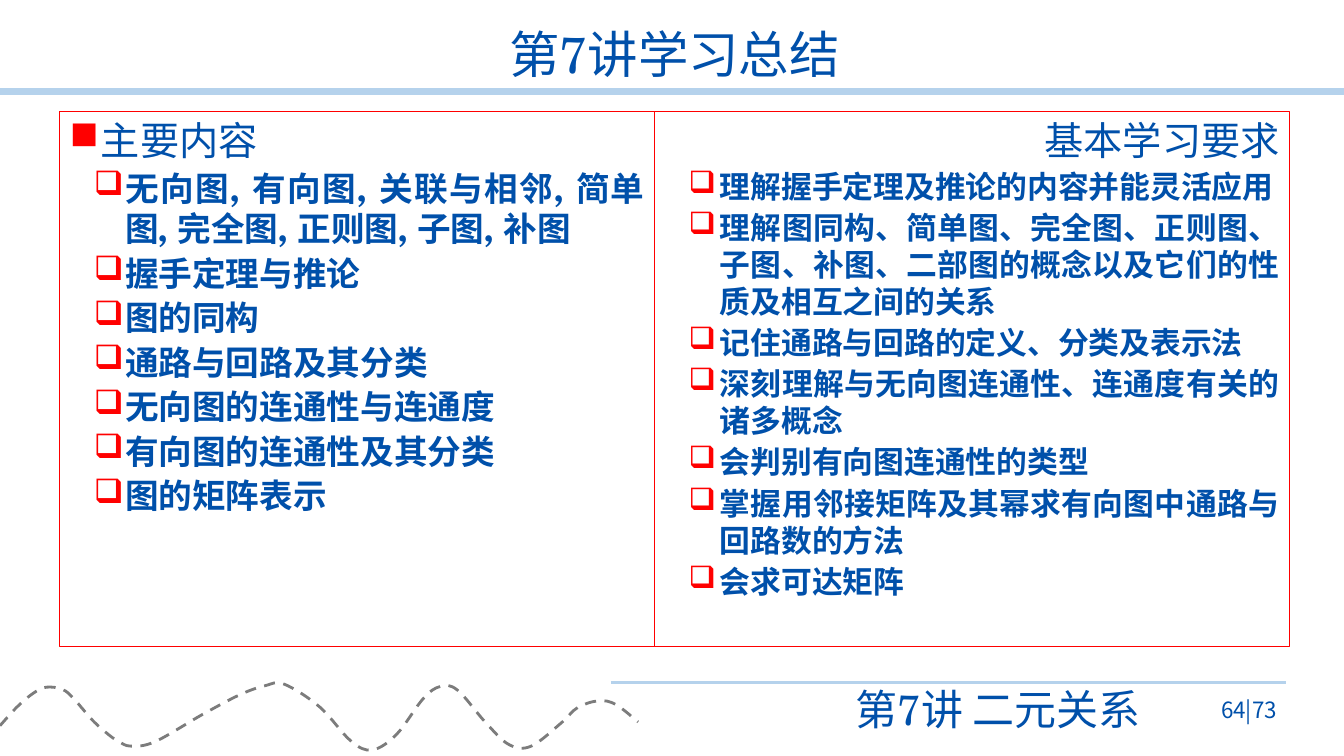
from lxml.etree import SubElement
from pptx import Presentation
from pptx.dml.color import RGBColor
from pptx.enum.dml import MSO_LINE
from pptx.enum.shapes import MSO_CONNECTOR, MSO_SHAPE
from pptx.enum.text import MSO_ANCHOR, PP_ALIGN
from pptx.oxml.ns import qn
from pptx.util import Inches, Pt

COLORS = {"blue": "0050AA", "red": "FF0000", "pale": "B5D2EC", "gray": "7C7C7C"}
SERIF, SANS, SYMBOL = "TeX Gyre Schola", "Noto Sans CJK SC", "Wingdings"
SQUARE, SHADOWED_BOX = "n", "q"  # Wingdings codes of ■ and ❑

CONTENTS = [
    "无向图, 有向图, 关联与相邻, 简单图, 完全图, 正则图, 子图, 补图",
    "握手定理与推论",
    "图的同构",
    "通路与回路及其分类",
    "无向图的连通性与连通度",
    "有向图的连通性及其分类",
    "图的矩阵表示",
]
REQUIREMENTS = [
    "理解握手定理及推论的内容并能灵活应用",
    "理解图同构、简单图、完全图、正则图、子图、补图、二部图的概念以及它们的性质及相互之间的关系",
    "记住通路与回路的定义、分类及表示法",
    "深刻理解与无向图连通性、连通度有关的诸多概念",
    "会判别有向图连通性的类型",
    "掌握用邻接矩阵及其幂求有向图中通路与回路数的方法",
    "会求可达矩阵",
]
# Points of the footer wave, in percent of the slide
WAVE = [
    (0, 96), (1.28, 93.5), (2.48, 91.7), (3.45, 90.9), (4.65, 91.2),
    (5.48, 92.4), (6.9, 95.3), (8.1, 97.2), (8.85, 98.1), (9.75, 98.7),
    (11.55, 98.1), (15.08, 94.5), (17.85, 91.9), (19.73, 90.7), (21.15, 90.5),
    (23.78, 93.5), (26.1, 98), (27.68, 99.2), (29.48, 97.2), (31.5, 92.4),
    (32.78, 90.8), (34.05, 91.3), (36.15, 95.6), (37.88, 98.5), (39.53, 98.7),
    (41.78, 95.6), (42.98, 93.6), (44.55, 92.7), (45.83, 93.2), (47.48, 95.5),
]


def color(name):
    return RGBColor.from_string(COLORS[name])


def bend_segments(shape, points):
    """Turn the straight segments of a freeform into smooth Bézier curves."""
    padded = [points[0], *points, points[-1]]
    corners = zip(padded, padded[1:], padded[2:], padded[3:])
    segments = list(shape._element.iter(qn("a:lnTo")))
    for segment, (before, start, end, after) in zip(segments, corners):
        leaving = [s + (e - b) / 6 for b, s, e in zip(before, start, end)]
        arriving = [e - (a - s) / 6 for s, e, a in zip(start, end, after)]
        segment.tag = qn("a:cubicBezTo")
        for child in list(segment):
            segment.remove(child)
        for x, y in (leaving, arriving, end):
            SubElement(segment, qn("a:pt"), x=str(round(x - shape.left)),
                       y=str(round(y - shape.top)))


def write_paragraph(paragraph, text, *, size, font=SERIF, bold=False,
                    align=PP_ALIGN.LEFT, bullet=None, indent=0, level=0,
                    before=0, spacing=None):
    paragraph.alignment = align
    paragraph.level = level
    paragraph.space_before = Pt(before)
    if spacing:
        paragraph.line_spacing = spacing
    if bullet:
        properties = paragraph._p.get_or_add_pPr()
        properties.set("marL", str(Inches(indent)))
        properties.set("indent", str(Inches(-0.31)))
        bullet_color = SubElement(properties, qn("a:buClr"))
        SubElement(bullet_color, qn("a:srgbClr"), val=COLORS["red"])
        SubElement(properties, qn("a:buFont"), typeface=SYMBOL, charset="2")
        SubElement(properties, qn("a:buChar"), char=bullet)
    run = paragraph.add_run()
    run.text = text
    run.font.size = Pt(size)
    run.font.bold = bold
    run.font.name = font
    run.font.color.rgb = color("blue")
    SubElement(run._r.get_or_add_rPr(), qn("a:ea"), typeface=SANS)


class SlideBuilder:
    """Places elements by percent of the slide's width and height."""

    def __init__(self, presentation):
        self.width = presentation.slide_width
        self.height = presentation.slide_height
        self.slide = presentation.slides.add_slide(presentation.slide_layouts[6])

    def place(self, x, y):
        return round(self.width * x / 100), round(self.height * y / 100)

    def rule(self, left, right, y, weight):
        line = self.slide.shapes.add_connector(
            MSO_CONNECTOR.STRAIGHT, *self.place(left, y), *self.place(right, y))
        line.line.color.rgb = color("pale")
        line.line.width = Pt(weight)
        SubElement(line._element.spPr, qn("a:effectLst"))

    def wave(self, percent_points):
        points = [self.place(*point) for point in percent_points]
        builder = self.slide.shapes.build_freeform(*points[0])
        builder.add_line_segments(points[1:], close=False)
        shape = builder.convert_to_shape()
        bend_segments(shape, points)
        shape.shadow.inherit = False
        shape.fill.background()
        shape.line.color.rgb = color("gray")
        shape.line.width = Pt(2)
        shape.line.dash_style = MSO_LINE.DASH

    def text(self, x, y, width, height, text, anchor=MSO_ANCHOR.TOP, **style):
        box = self.slide.shapes.add_textbox(
            *self.place(x, y), *self.place(width, height))
        frame = box.text_frame
        frame.word_wrap = True
        frame.vertical_anchor = anchor
        write_paragraph(frame.paragraphs[0], text, **style)

    def panel(self, x, width, heading, items, item_size, **heading_style):
        shape = self.slide.shapes.add_shape(
            MSO_SHAPE.RECTANGLE, *self.place(x, 14.75), *self.place(width, 70.75))
        shape.shadow.inherit = False
        shape.fill.background()
        shape.line.color.rgb = color("red")
        shape.line.width = Pt(0.75)
        frame = shape.text_frame
        frame.word_wrap = True
        frame.vertical_anchor = MSO_ANCHOR.TOP
        write_paragraph(frame.paragraphs[0], heading, size=28, **heading_style)
        for item in items:
            write_paragraph(frame.add_paragraph(), item, size=item_size, bold=True,
                            align=PP_ALIGN.JUSTIFY, bullet=SHADOWED_BOX,
                            indent=0.55, level=1, before=3)


def main():
    presentation = Presentation()
    presentation.slide_width, presentation.slide_height = Inches(13.33), Inches(7.5)
    builder = SlideBuilder(presentation)

    # Rules and wave
    builder.rule(0, 100, 12.13, 5)
    builder.rule(45.45, 95.7, 90.27, 1.75)
    builder.wave(WAVE)

    # Two panels
    builder.panel(4.45, 44.25, "主要内容", CONTENTS, 24,
                  align=PP_ALIGN.JUSTIFY, bullet=SQUARE, indent=0.31)

    # Title and footer
    builder.text(11.78, 3.23, 76.8, 8.67, "第7讲学习总结", MSO_ANCHOR.MIDDLE,
                 size=36, align=PP_ALIGN.CENTER, spacing=0.9)
    builder.text(48.25, 89.73, 37.35, 8.13, "第7讲 二元关系",
                 size=30, align=PP_ALIGN.RIGHT)

    builder.panel(48.7, 47.25, "基本学习要求", REQUIREMENTS, 22,
                  align=PP_ALIGN.RIGHT)
    builder.text(87.87, 91.2, 7.87, 5.33, "64|73", MSO_ANCHOR.MIDDLE,
                 size=16, font=SANS, align=PP_ALIGN.RIGHT)

    presentation.save("out.pptx")


if __name__ == "__main__":
    main()
